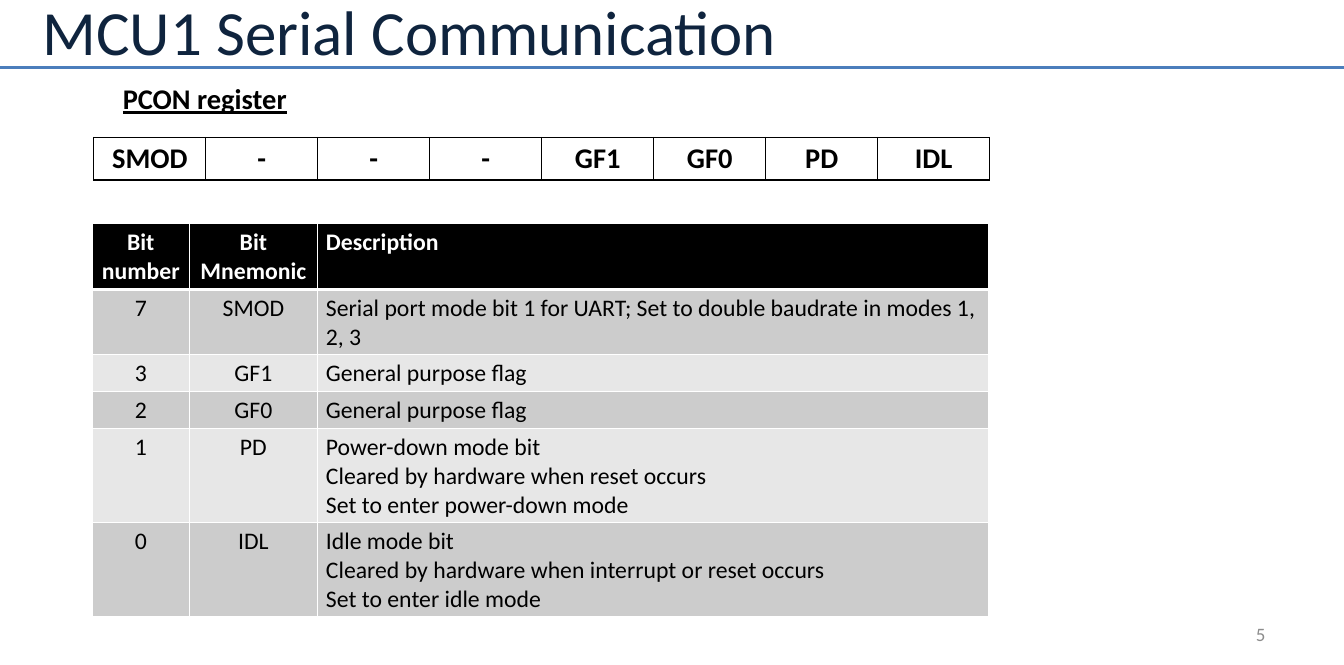
from lxml import etree
from pptx import Presentation
from pptx.dml.color import RGBColor
from pptx.enum.shapes import MSO_CONNECTOR
from pptx.enum.text import MSO_ANCHOR, PP_ALIGN
from pptx.oxml.ns import qn
from pptx.util import Inches, Pt

LEFT, CENTER, RIGHT = PP_ALIGN.LEFT, PP_ALIGN.CENTER, PP_ALIGN.RIGHT
MIDDLE, TOP = MSO_ANCHOR.MIDDLE, MSO_ANCHOR.TOP
STRAIGHT = MSO_CONNECTOR.STRAIGHT

TITLE = "MCU1 Serial Communication"
SUBTITLE = "PCON register"
PAGE_NUMBER = "5"
REGISTER = [["SMOD", "-", "-", "-", "GF1", "GF0", "PD", "IDL"]]
BITS = [
    ["Bit number", "Bit Mnemonic", "Description"],
    ["7", "SMOD", "Serial port mode bit 1 for UART; Set to double baudrate in modes 1, 2, 3"],
    ["3", "GF1", "General purpose flag"],
    ["2", "GF0", "General purpose flag"],
    ["1", "PD", "Power-down mode bit\nCleared by hardware when reset occurs\nSet to enter power-down mode"],
    ["0", "IDL", "Idle mode bit\nCleared by hardware when interrupt or reset occurs\nSet to enter idle mode"],
]
COLORS = {
    "title": "0F243E", "rule": "4B7EBC", "number": "8C8C8C", "black": "000000",
    "white": "FFFFFF", "dark_band": "CCCCCC", "light_band": "E7E7E7",
}
FONT = "Calibri"
SLIDE_WIDTH, SLIDE_HEIGHT = 15.75, 7.79
TABLE_WIDTH, ROW_HEIGHT = 10.5, 0.41
REGISTER_COLUMNS = [TABLE_WIDTH / 8] * 8
BIT_COLUMNS = [1.14, 1.5, 7.86]
RULE_TOP = 0.79


def color(name):
    return RGBColor.from_string(COLORS[name])


def write(frame, text, size, ink, align=LEFT, bold=False, underline=False):
    for index, line in enumerate(text.split("\n")):
        para = frame.add_paragraph() if index else frame.paragraphs[0]
        para.alignment = align
        span = para.add_run()
        span.text = line
        span.font.name = FONT
        span.font.size = Pt(size)
        span.font.bold = bold
        span.font.underline = underline
        span.font.color.rgb = color(ink)


def place(shape, left, top, width, height):
    shape.left, shape.top = Inches(left), Inches(top)
    shape.width, shape.height = Inches(width), Inches(height)


def set_insets(frame):
    frame.margin_left = frame.margin_right = Inches(0.13)
    frame.margin_top = frame.margin_bottom = Inches(0.07)
    frame.vertical_anchor = MIDDLE
    frame.word_wrap = True


def set_borders(cell, ink, bottom):
    properties = cell._tc.get_or_add_tcPr()
    for side, width in (("L", 1), ("R", 1), ("T", 1), ("B", bottom)):
        line = etree.SubElement(properties, qn("a:ln" + side), w=str(Pt(width)))
        fill = etree.SubElement(line, qn("a:solidFill"))
        etree.SubElement(fill, qn("a:srgbClr"), val=COLORS[ink])


def add_grid(page, rows, columns, left, top, has_header):
    frame = page.shapes.add_table(
        len(rows), len(columns), Inches(left), Inches(top),
        Inches(TABLE_WIDTH), Inches(ROW_HEIGHT * len(rows)))
    grid = frame.table
    grid.first_row = has_header
    grid.horz_banding = has_header
    for column, width in zip(grid.columns, columns):
        column.width = Inches(width)
    for row in grid.rows:
        row.height = Inches(ROW_HEIGHT)
    return grid


def fill_register(grid):
    for column, text in enumerate(REGISTER[0]):
        cell = grid.cell(0, column)
        set_borders(cell, "black", 2)
        cell.fill.background()
        write(cell.text_frame, text, 24, "black", CENTER, bold=True)


def fill_bits(grid):
    for row, texts in enumerate(BITS):
        header = row == 0
        band = "black" if header else "dark_band" if row % 2 else "light_band"
        for column, text in enumerate(texts):
            cell = grid.cell(row, column)
            cell.vertical_anchor = TOP
            set_borders(cell, "white", 3 if header else 1)
            cell.fill.solid()
            cell.fill.fore_color.rgb = color(band)
            write(cell.text_frame, text, 20, "white" if header else "black",
                  CENTER if column < 2 else LEFT, bold=header)


def main():
    deck = Presentation()
    deck.slide_width, deck.slide_height = Inches(SLIDE_WIDTH), Inches(SLIDE_HEIGHT)
    page = deck.slides.add_slide(deck.slide_layouts[5])

    title = page.shapes.title
    place(title, 0.37, 0, 12.22, 0.71)
    set_insets(title.text_frame)
    write(title.text_frame, TITLE, 53.1, "title")

    rule = page.shapes.add_connector(
        STRAIGHT, 0, Inches(RULE_TOP), deck.slide_width, Inches(RULE_TOP))
    rule.line.color.rgb = color("rule")
    rule.line.width = Pt(3)
    etree.SubElement(rule._element.spPr, qn("a:effectLst"))

    number = page.shapes.add_textbox(
        Inches(11.29), Inches(7.22), Inches(3.67), Inches(0.41))
    set_insets(number.text_frame)
    write(number.text_frame, PAGE_NUMBER, 16, "number", RIGHT)

    subtitle = page.shapes.add_textbox(
        Inches(1.34), Inches(0.9), Inches(2.12), Inches(0.5))
    subtitle.text_frame.word_wrap = False
    write(subtitle.text_frame, SUBTITLE, 24, "black", bold=True, underline=True)

    fill_register(add_grid(page, REGISTER, REGISTER_COLUMNS, 1.1, 1.61, False))
    fill_bits(add_grid(page, BITS, BIT_COLUMNS, 1.08, 2.62, True))
    deck.save("out.pptx")


if __name__ == "__main__":
    main()
